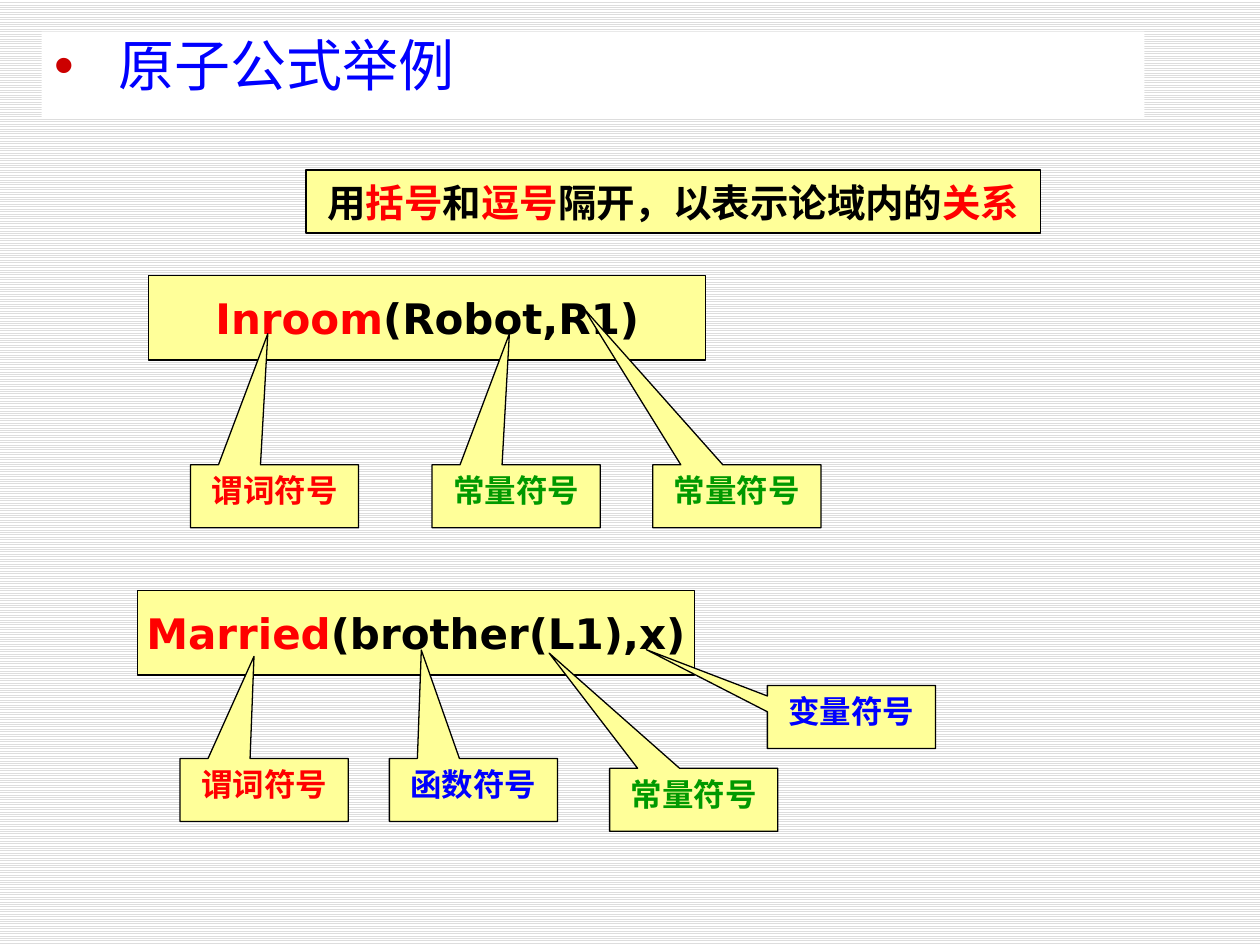
from lxml import etree
from pptx import Presentation
from pptx import util as u
from pptx.dml.color import RGBColor
from pptx.enum import dml, shapes, text
from pptx.oxml.ns import qn

COLORS = {
    "paper": "FFFFFF", "stripe": "DDDDDD", "box": "FFFF99", "black": "000000",
    "red": "FF0000", "green": "009900", "blue": "0000FF", "bullet": "CC0000",
}
FORMULA_SIZE = (11.23, 1.7)
LABEL_SIZE = (3.39, 1.27)


def color(name):
    return RGBColor.from_string(COLORS[name])


def add_box(slide, box, runs, size, preset=shapes.MSO_SHAPE.RECTANGLE):
    """Yellow outlined box holding one centred line of coloured runs."""
    panel = slide.shapes.add_shape(preset, *map(u.Cm, box))
    panel.shadow.inherit = False
    panel.fill.solid()
    panel.fill.fore_color.rgb = color("box")
    panel.line.color.rgb = color("black")
    panel.line.width = u.Pt(0.75)
    frame = panel.text_frame
    frame.word_wrap = False
    frame.vertical_anchor = text.MSO_ANCHOR.MIDDLE
    line = frame.paragraphs[0]
    line.alignment = text.PP_ALIGN.CENTER
    line.font.name, line.font.size, line.font.bold = "DejaVu Sans", u.Pt(size), True
    for wording, tint in runs:
        run = line.add_run()
        run.text = wording
        run.font.color.rgb = color(tint)
    return panel


def add_title(slide, box, wording):
    band = slide.shapes.add_shape(shapes.MSO_SHAPE.RECTANGLE, *map(u.Cm, box))
    band.shadow.inherit = False
    band.fill.solid()
    band.fill.fore_color.rgb = color("paper")
    band.line.fill.background()
    frame = band.text_frame
    frame.word_wrap = True
    frame.vertical_anchor = text.MSO_ANCHOR.TOP
    heading = frame.paragraphs[0]
    heading.text = wording
    heading.alignment = text.PP_ALIGN.LEFT
    heading.line_spacing = 0.9
    # Hanging red bullet
    props = heading._p.get_or_add_pPr()
    props.set("marL", str(u.Cm(1.3)))
    props.set("indent", str(u.Cm(-1.3)))
    tint = etree.SubElement(props, qn("a:buClr"))
    etree.SubElement(tint, qn("a:srgbClr"), val=COLORS["bullet"])
    etree.SubElement(props, qn("a:buFont"), typeface="Arial")
    etree.SubElement(props, qn("a:buChar"), char="•")
    heading.font.name, heading.font.size = "Arial", u.Pt(32)
    heading.font.color.rgb = color("blue")


def add_example(slide, left, top, formula, labels):
    """Formula box with callouts; label offsets start at its top left corner."""
    add_box(slide, (left, top, *FORMULA_SIZE), formula, 24)
    for dx, dy, wording, tint, tip in labels:
        callout = add_box(slide, (left + dx, top + dy, *LABEL_SIZE), [(wording, tint)], 18,
                          shapes.MSO_SHAPE.RECTANGULAR_CALLOUT)
        callout.text_frame.word_wrap = True
        callout.text_frame.vertical_anchor = text.MSO_ANCHOR.TOP
        callout.adjustments[0], callout.adjustments[1] = tip


def main():
    prs = Presentation()
    prs.slide_width, prs.slide_height = u.Cm(25.4), u.Cm(19.05)
    slide = prs.slides.add_slide(prs.slide_layouts[6])

    # Striped background
    backdrop = slide.background.fill
    backdrop.patterned()
    backdrop.pattern = dml.MSO_PATTERN.LIGHT_HORIZONTAL
    backdrop.fore_color.rgb = color("stripe")
    backdrop.back_color.rgb = color("paper")

    add_title(slide, (0.84, 0.64, 22.23, 1.75), "原子公式举例")

    # Rule of notation
    add_box(slide, (6.17, 3.43, 14.81, 1.27), [
        ("用", "black"), ("括号", "red"), ("和", "black"), ("逗号", "red"),
        ("隔开，以表示论域内的", "black"), ("关系", "red")], 22)

    # Predicate with constants
    add_example(slide, 3, 5.56, [("Inroom", "red"), ("(Robot,R1)", "black")], [
        (0.84, 3.81, "谓词符号", "red", (-0.04, -2.58)),
        (5.71, 3.81, "常量符号", "green", (-0.04, -2.58)),
        (10.16, 3.81, "常量符号", "green", (-0.91, -2.98))])

    # Predicate with a function and a variable
    add_example(slide, 2.77, 11.91, [("Married", "red"), ("(brother(L1),x)", "black")], [
        (0.86, 3.38, "谓词符号", "red", (-0.06, -2.12)),
        (5.08, 3.38, "函数符号", "blue", (-0.31, -2.22)),
        (9.52, 3.58, "常量符号", "green", (-0.86, -2.33)),
        (12.7, 1.91, "变量符号", "blue", (-1.22, -1.07))])

    prs.save("out.pptx")


if __name__ == "__main__":
    main()
